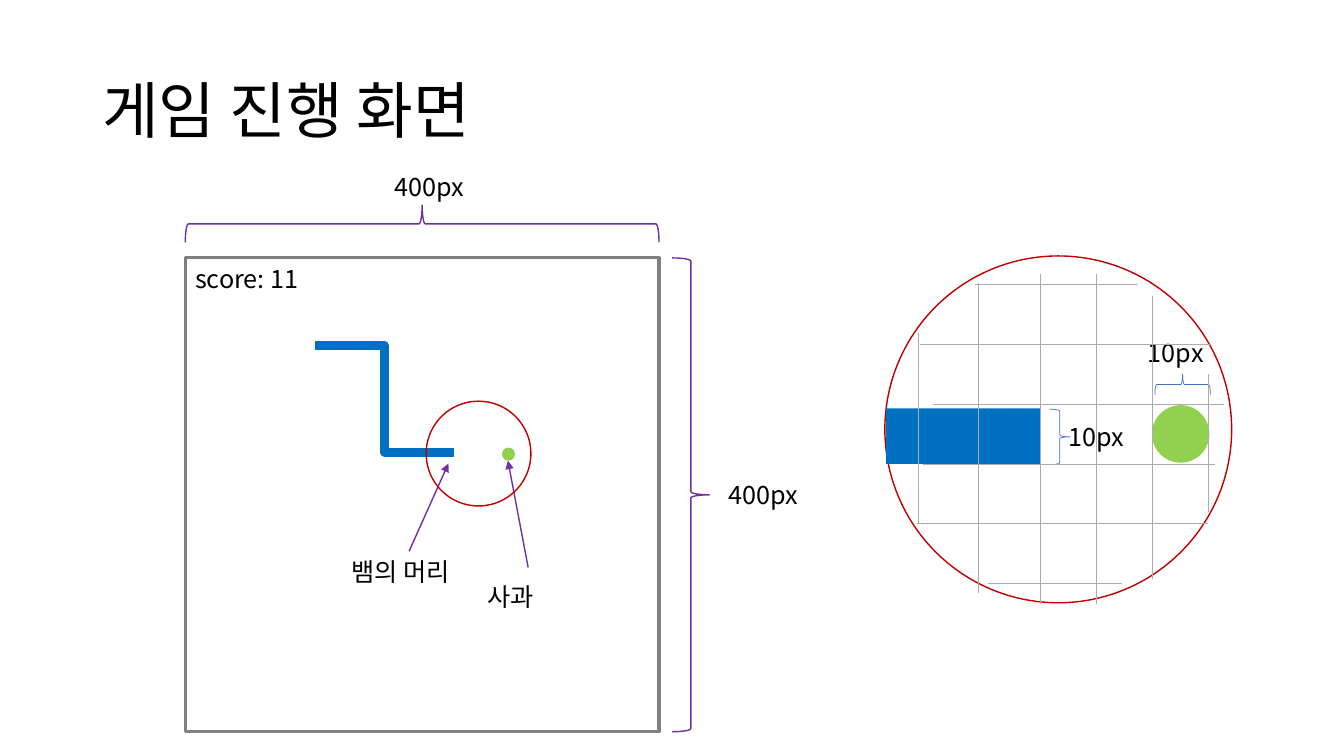
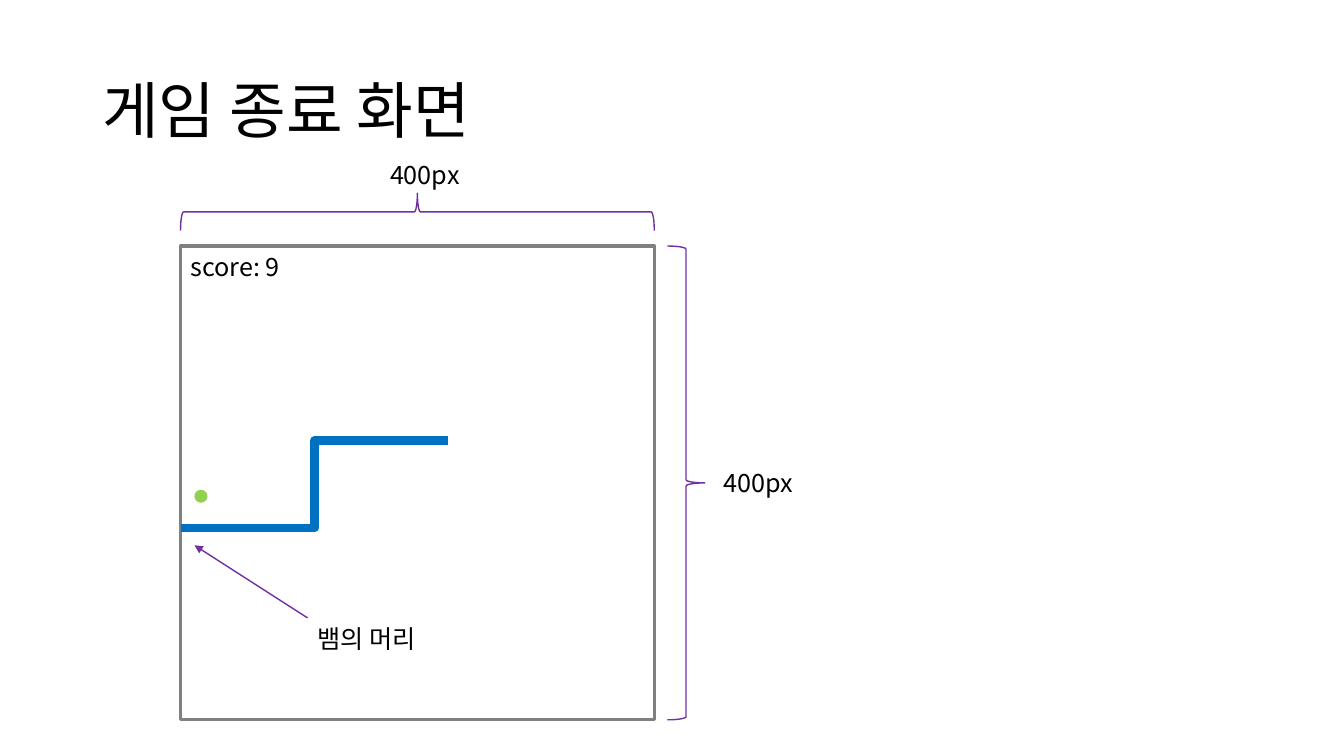
"""Build two slides that explain the play and end screens of a snake game."""
from lxml.etree import SubElement
from pptx import Presentation
from pptx.dml.color import RGBColor
from pptx.enum.shapes import MSO_CONNECTOR as Link, MSO_SHAPE as Shape
from pptx.enum.text import MSO_ANCHOR as Anchor
from pptx.oxml.ns import qn
from pptx.util import Cm, Pt

FONT = "Noto Sans CJK KR"
BLACK = RGBColor(0x00, 0x00, 0x00)
FRAME_GRAY = RGBColor(0x80, 0x80, 0x80)
GRID_GRAY = RGBColor(0xAF, 0xAB, 0xAB)
SNAKE_BLUE = RGBColor(0x00, 0x70, 0xC0)
BRACE_BLUE = RGBColor(0x44, 0x72, 0xC4)
APPLE_GREEN = RGBColor(0x92, 0xD0, 0x50)
PURPLE = RGBColor(0x70, 0x30, 0xA0)
RED = RGBColor(0xC0, 0x00, 0x00)

SCREEN = 11.94
BRACE = 0.94
LABEL_HEIGHT = 1.02


def place_shape(page, kind, place, fill=None, line=None, weight=1, rotation=0):
    shape = page.shapes.add_shape(kind, *[Cm(value) for value in place])
    shape.shadow.inherit = False
    shape.rotation = rotation
    if fill is None:
        shape.fill.background()
    else:
        shape.fill.solid()
        shape.fill.fore_color.rgb = fill
    if line is None:
        shape.line.fill.background()
    else:
        shape.line.color.rgb = line
        shape.line.width = Pt(weight)


def place_line(page, kind, start, end, color, weight):
    line = page.shapes.add_connector(kind, *[Cm(value) for value in (*start, *end)])
    line.line.color.rgb = color
    line.line.width = Pt(weight)
    SubElement(line._element.spPr, qn("a:effectLst"))
    return line


games = [
    {
        "title": "게임 진행 화면",
        "score": "score: 11",
        "corner": (4.67, 6.5),
        "snake": ((7.95, 8.71), (11.43, 11.4)),
        "apple": (12.65, 11.28),
        "labels": [
            ("사과", 12.04, 14.53, 2.54),
            ("뱀의 머리", 8.61, 13.89, 3.4),
            ("10px", 26.67, 10.49, 2),
            ("10px", 28.68, 8.38, 2),
        ],
        "arrows": [
            ((13.31, 14.3), (12.8, 11.61), None),
            ((10.31, 13.89), (11.3, 11.68), "뱀의 머리"),
        ],
    },
    {
        "title": "게임 종료 화면",
        "score": "score: 9",
        "corner": (4.55, 6.2),
        "snake": ((4.55, 13.31), (11.3, 11.1)),
        "apple": (4.9, 12.34),
        "labels": [("뱀의 머리", 7.75, 15.57, 3.4)],
        "arrows": [((7.75, 15.57), (4.9, 13.74), None)],
    },
]

deck = Presentation()
deck.slide_width = Cm(33.87)
deck.slide_height = Cm(19.05)

for game in games:
    page = deck.slides.add_slide(deck.slide_layouts[6])
    left, top = game["corner"]

    title = page.shapes.add_textbox(Cm(2.33), Cm(1.01), Cm(29.21), Cm(3.68))
    title.text_frame.text = game["title"]
    title.text_frame.vertical_anchor = Anchor.MIDDLE
    title.text_frame.paragraphs[0].line_spacing = 0.9
    title.text_frame.paragraphs[0].font.size = Pt(44)

    boxes = {game["title"]: title}
    labels = [
        (game["score"], left, top, 3.28),
        ("400px", left + 13.44, top + 5.45, 2.34),
        ("400px", left + 5.03, top - 2.31, 2.34),
        *game["labels"],
    ]
    for text, label_left, label_top, width in labels:
        box = page.shapes.add_textbox(Cm(label_left), Cm(label_top), Cm(width), Cm(LABEL_HEIGHT))
        box.text_frame.text = text
        box.text_frame.paragraphs[0].font.size = Pt(18)
        boxes[text] = box
    for box in page.shapes:
        box.text_frame.word_wrap = True
        para = box.text_frame.paragraphs[0]
        para.font.color.rgb = BLACK
        para.font.name = FONT
        SubElement(para._p.pPr.find(qn("a:defRPr")), qn("a:ea"), typeface=FONT)

    place_shape(page, Shape.RECTANGLE, (left, top, SCREEN, SCREEN), line=FRAME_GRAY, weight=2.25)
    place_line(page, Link.ELBOW, *game["snake"], SNAKE_BLUE, 6)
    place_shape(page, Shape.OVAL, (*game["apple"], 0.33, 0.33), fill=APPLE_GREEN)
    place_shape(page, Shape.RIGHT_BRACE, (left + 12.27, top, BRACE, SCREEN), line=PURPLE)
    place_shape(page, Shape.RIGHT_BRACE, (left + (SCREEN - BRACE) / 2, top - 6.83, BRACE, SCREEN),
                line=PURPLE, rotation=270)

    for start, tip, joined in game["arrows"]:
        arrow = place_line(page, Link.STRAIGHT, start, tip, PURPLE, 1)
        SubElement(arrow.line._get_or_add_ln(), qn("a:tailEnd"), type="triangle")
        if joined:
            arrow.begin_connect(boxes[joined], 0)

page = deck.slides[0]
place_shape(page, Shape.OVAL, (10.74, 10.11, 2.64, 2.64), line=RED)
place_shape(page, Shape.OVAL, (22.3, 6.45, 8.74, 8.74), line=RED)
place_shape(page, Shape.RECTANGLE, (22.33, 10.29, 3.89, 1.4), fill=SNAKE_BLUE)
place_shape(page, Shape.OVAL, (29.03, 10.21, 1.45, 1.45), fill=APPLE_GREEN)
for brace_left, brace_top, rotation in [(26.44, 10.31, 0), (29.54, 8.99, 270)]:
    place_shape(page, Shape.RIGHT_BRACE, (brace_left, brace_top, 0.53, 1.4),
                line=BRACE_BLUE, weight=0.5, rotation=rotation)

columns = [
    (23.14, 8.38, 13.21), (24.66, 7.14, 14.94), (26.21, 6.91, 15.21),
    (27.64, 6.91, 15.21), (29.03, 7.47, 14.58), (30.45, 9.42, 12.9),
]
for x, upper, lower in columns:
    place_line(page, Link.STRAIGHT, (x, upper), (x, lower), GRID_GRAY, 0.5)

rows = [
    (24.56, 28.68), (23.19, 30.51), (23.5, 30.84),
    (23.27, 30.61), (23.11, 30.45), (24.89, 28.27),
]
for index, (row_left, row_right) in enumerate(rows):
    y = 7.16 + 1.51 * index
    place_line(page, Link.STRAIGHT, (row_left, y), (row_right, y), GRID_GRAY, 0.5)

deck.save("out.pptx")
